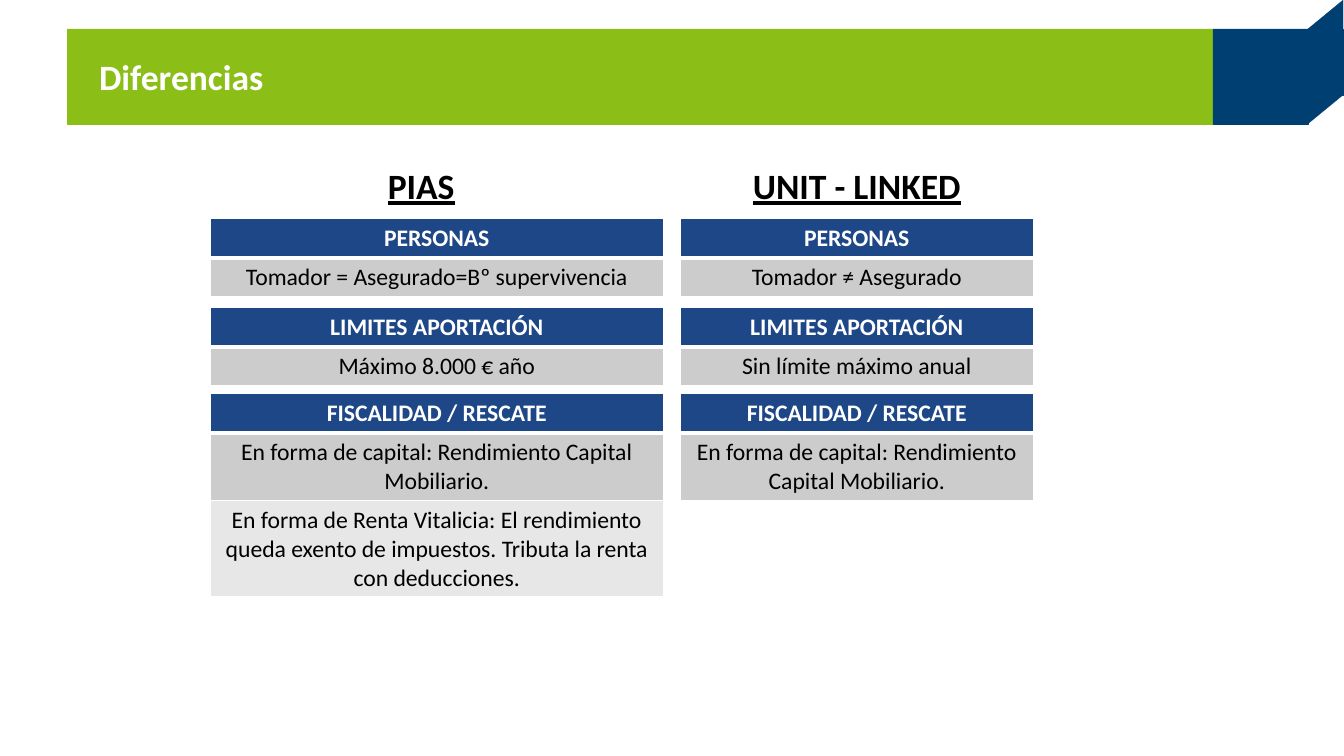
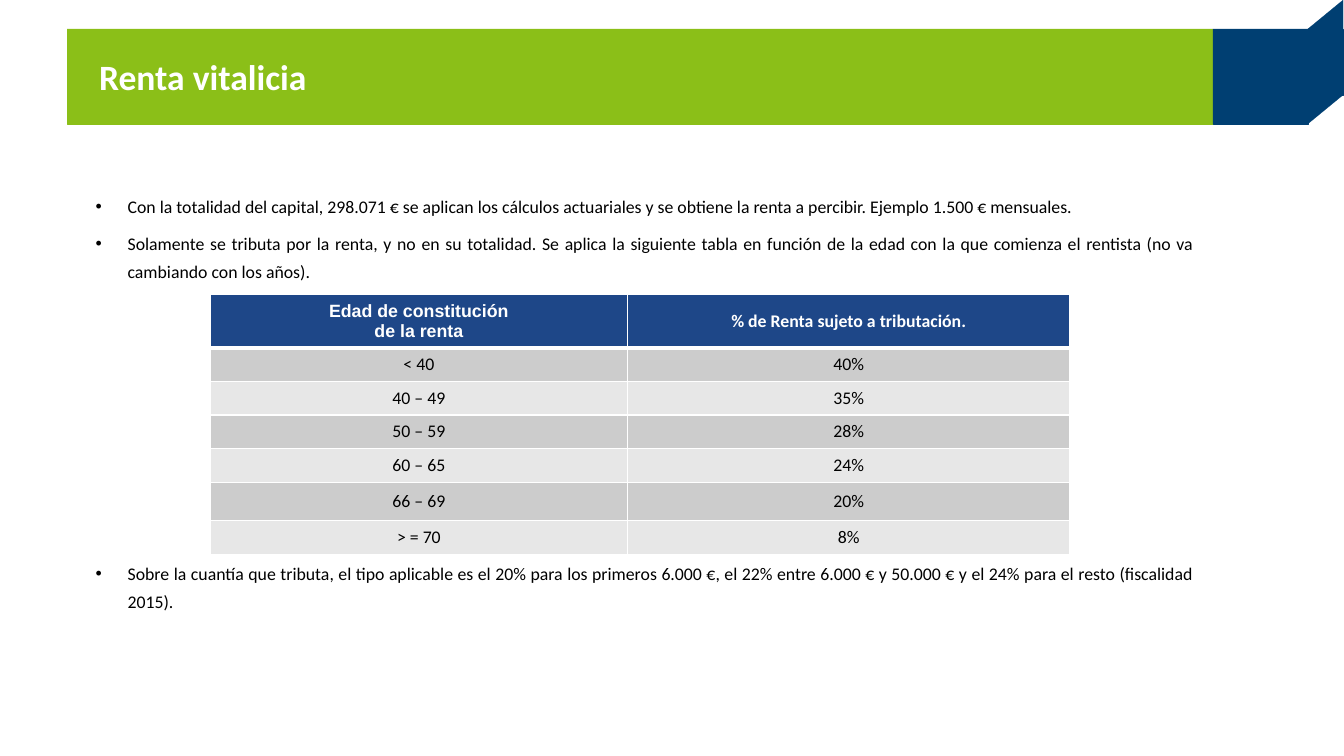
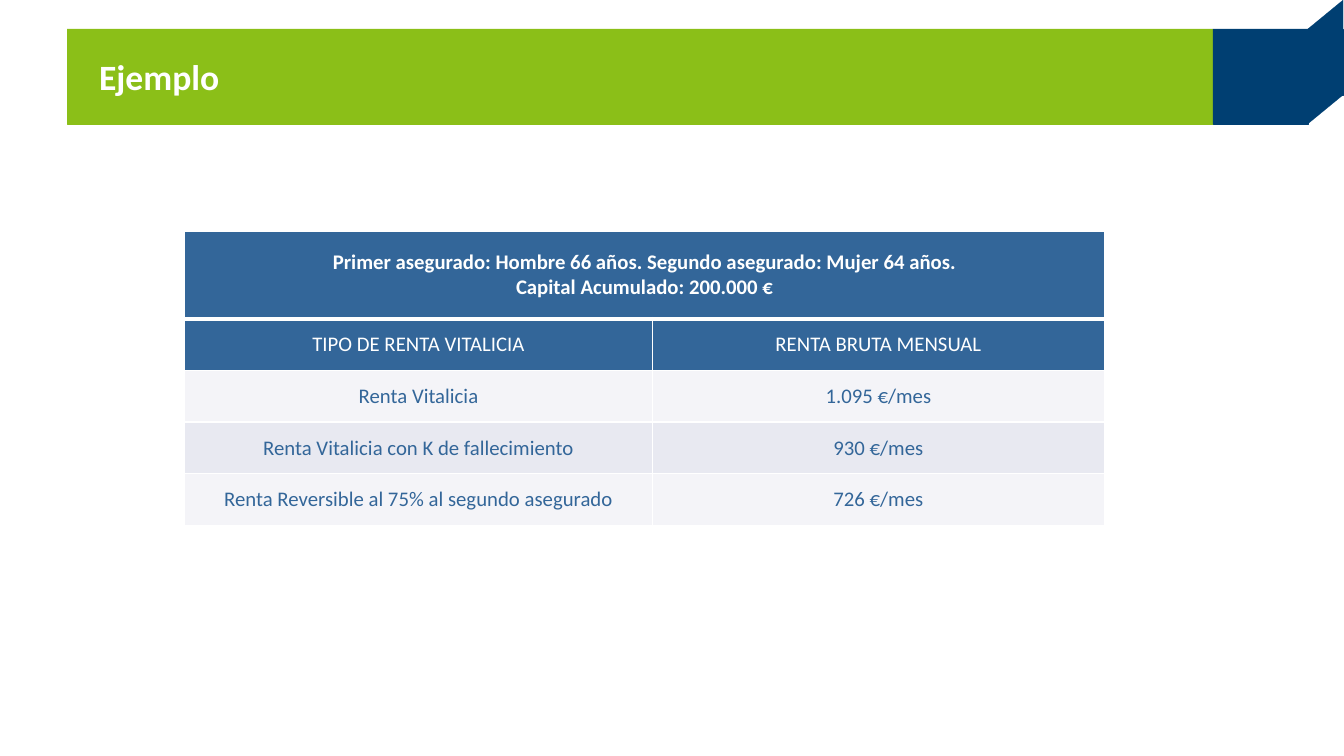
from dataclasses import dataclass

from lxml import etree
from pptx import Presentation
from pptx.dml.color import RGBColor
from pptx.enum.shapes import MSO_SHAPE
from pptx.enum.text import MSO_ANCHOR, PP_ALIGN
from pptx.oxml.ns import qn
from pptx.util import Cm, Pt

RECT, WEDGE = MSO_SHAPE.RECTANGLE, MSO_SHAPE.RIGHT_TRIANGLE
LEFT, MID, FULL = PP_ALIGN.LEFT, PP_ALIGN.CENTER, PP_ALIGN.JUSTIFY
CORE = MSO_ANCHOR.MIDDLE


@dataclass(frozen=True)
class Theme:
    green: str = "8BBF18"
    navy: str = "003F72"
    blue: str = "1E4788"
    steel: str = "336699"
    white: str = "FFFFFF"
    black: str = "000000"
    gray: str = "CCCCCC"
    pale: str = "E7E7E7"
    mist: str = "F4F4F8"
    haze: str = "E8E9F1"
    face: str = "Calibri"
    alt: str = "Arial"
    title: int = 24
    body: int = 16
    mid: int = 14
    small: int = 12


T = Theme()
# Row looks: fill, text colour, bold
HEAD = (T.blue, T.white, True)
DARK = (T.gray, T.black, False)
LIGHT = (T.pale, T.black, False)


def put(frame, text, size=T.body, ink=T.black, bold=False, line=False,
        face=T.face, align=MID, bullet=False):
    """Write text into a frame, one paragraph for each line."""
    frame.word_wrap = True
    for i, part in enumerate(text.split("\n")):
        para = frame.paragraphs[0] if i == 0 else frame.add_paragraph()
        para.alignment = align
        if bullet:
            mark(para)
            para.line_spacing = 1.3
            if i:
                para.space_before = Pt(6)
        run = para.add_run()
        run.text = part
        font = run.font
        font.name, font.size = face, Pt(size)
        font.bold, font.underline = bold, line
        font.color.rgb = RGBColor.from_string(ink)


def mark(para):
    """Give a paragraph a hanging round bullet."""
    props = para._p.get_or_add_pPr()
    props.set("marL", str(Cm(0.79)))
    props.set("indent", str(-Cm(0.76)))
    etree.SubElement(props, qn("a:buFont"), typeface=T.alt)
    etree.SubElement(props, qn("a:buChar"), char="•")


def block(slide, kind, x, y, w, h, fill, turn=0):
    shape = slide.shapes.add_shape(kind, Cm(x), Cm(y), Cm(w), Cm(h))
    shape.shadow.inherit = False
    shape.fill.solid()
    shape.fill.fore_color.rgb = RGBColor.from_string(fill)
    shape.line.color.rgb = RGBColor.from_string(fill)
    shape.line.width = Pt(0.1)
    shape.rotation = turn
    return shape


def label(slide, text, x, y, w, h, **style):
    box = slide.shapes.add_textbox(Cm(x), Cm(y), Cm(w), Cm(h))
    put(box.text_frame, text, **style)


def edge(cell, **widths):
    """Draw white cell borders, 1 pt unless a side is given a width."""
    props = cell._tc.get_or_add_tcPr()
    for i, side in enumerate("LRTB"):
        rule = etree.Element(qn("a:ln" + side), w=str(Pt(widths.get(side, 1))))
        fill = etree.SubElement(rule, qn("a:solidFill"))
        etree.SubElement(fill, qn("a:srgbClr"), val=T.white)
        props.insert(i, rule)


def grid(slide, x, y, cols, highs, rows, looks, size=T.body, faces=None):
    """Draw a table; a row with too few cells spans the whole width."""
    frame = slide.shapes.add_table(len(rows), len(cols), Cm(x), Cm(y),
                                   Cm(sum(cols)), Cm(sum(highs)))
    table = frame.table
    table.horz_banding = False
    for col, wide in zip(table.columns, cols):
        col.width = Cm(wide)
    for r, (row, high, look) in enumerate(zip(rows, highs, looks)):
        fill, ink, bold = look
        table.rows[r].height = Cm(high)
        if len(row) < len(cols):
            table.cell(r, 0).merge(table.cell(r, len(cols) - 1))
        for c in range(len(cols)):
            cell = table.cell(r, c)
            cell.fill.solid()
            cell.fill.fore_color.rgb = RGBColor.from_string(fill)
            cell.vertical_anchor = CORE
            edge(cell, T=3 if r == 1 else 1, B=3 if r == 0 else 1)
            if c < len(row):
                put(cell.text_frame, row[c], size=size, ink=ink, bold=bold,
                    face=(faces or {}).get((r, c), T.face))


def header(slide, title, x=1.6, y=0.69, w=27.28, h=2.26):
    """Draw the title band and its folded corner."""
    band = block(slide, RECT, x, y, w, h, T.green)
    frame = band.text_frame
    frame.margin_left, frame.vertical_anchor = Cm(0.76), CORE
    put(frame, title, size=T.title, ink=T.white, bold=True, align=LEFT)
    block(slide, RECT, x + w, y, h, h, T.navy)
    side, rise = 0.84, 0.69
    fold, gap = x + w + h, (side - rise) / 2
    block(slide, RECT, fold, y, side, h - rise, T.navy)
    for top, turn in ((y - rise, 270), (y + h - rise, 90)):
        block(slide, WEDGE, fold + gap, top - gap, rise, side, T.navy, turn)


def column(slide, x, y, w, name, shift, parts):
    """Stack a heading and its tables; each part lists (text, lines)."""
    label(slide, name, x + shift, y, w, 1.27, size=T.title, bold=True,
          line=True)
    for drop, (head, *notes) in zip((1.42, 3.54, 5.59), parts):
        rows = [(head,)] + [(text,) for text, _ in notes]
        highs = [0.93] + [0.93 + 0.68 * (n - 1) for _, n in notes]
        grid(slide, x, y + drop, [w], highs, rows, [HEAD, DARK, LIGHT])


def compare(slide):
    capital = ("En forma de capital: Rendimiento Capital Mobiliario.", 2)
    life = ("En forma de Renta Vitalicia: El rendimiento queda exento de "
            "impuestos. Tributa la renta con deducciones.", 3)
    who, cap, tax = "PERSONAS", "LIMITES APORTACIÓN", "FISCALIDAD / RESCATE"
    column(slide, 5, 3.78, 10.8, "PIAS", -0.37, [
        (who, ("Tomador = Asegurado=Bº supervivencia", 1)),
        (cap, ("Máximo 8.000 € año", 1)),
        (tax, capital, life)])
    column(slide, 16.2, 3.78, 8.4, "UNIT - LINKED", 0, [
        (who, ("Tomador ≠ Asegurado", 1)),
        (cap, ("Sin límite máximo anual", 1)),
        (tax, capital)])


def rates(slide, x=2, y=4.39, w=26.7):
    style = dict(size=T.small, align=FULL, bullet=True)
    label(slide, "Con la totalidad del capital, 298.071 € se aplican los "
          "cálculos actuariales y se obtiene la renta a percibir. Ejemplo "
          "1.500 € mensuales.\n"
          "Solamente se tributa por la renta, y no en su totalidad. Se aplica "
          "la siguiente tabla en función de la edad con la que comienza el "
          "rentista (no va cambiando con los años).",
          x, y, w, 2.5, **style)
    rows = [("Edad de constitución\nde la renta",
             "% de Renta sujeto a tributación."),
            ("< 40", "40%"), ("40 – 49", "35%"), ("50 – 59", "28%"),
            ("60 – 65", "24%"), ("66 – 69", "20%"), ("> = 70", "8%")]
    grid(slide, x + 3, y + 2.62, [9.95, 10.52],
         [1.2] + [0.8] * 4 + [0.92, 0.8], rows, [HEAD] + [DARK, LIGHT] * 3,
         size=T.small, faces={(0, 0): T.alt})
    label(slide, "Sobre la cuantía que tributa, el tipo aplicable es el 20% "
          "para los primeros 6.000 €, el 22% entre 6.000 € y 50.000 € y el "
          "24% para el resto (fiscalidad 2015).",
          x, y + 8.74, w, 1.6, **style)


def sample(slide, x=4.4, y=5.51):
    rows = [("Primer asegurado: Hombre 66 años. Segundo asegurado: Mujer 64 "
             "años.\nCapital Acumulado: 200.000 €",),
            ("TIPO DE RENTA VITALICIA", "RENTA BRUTA MENSUAL"),
            ("Renta Vitalicia", "1.095 €/mes"),
            ("Renta Vitalicia con K de fallecimiento", "930 €/mes"),
            ("Renta Reversible al 75% al segundo asegurado", "726 €/mes")]
    odd, even = (T.mist, T.steel, False), (T.haze, T.steel, False)
    looks = [(T.steel, T.white, True), (T.steel, T.white, False),
             odd, even, odd]
    grid(slide, x, y, [11.13, 10.77], [2.08] + [1.23] * 4, rows, looks,
         size=T.mid)


def main():
    deck = Presentation()
    deck.slide_width, deck.slide_height = Cm(32), Cm(18)
    pages = (("Diferencias", compare), ("Renta vitalicia", rates),
             ("Ejemplo", sample))
    for title, fill in pages:
        slide = deck.slides.add_slide(deck.slide_layouts[6])
        header(slide, title)
        fill(slide)
    deck.save("out.pptx")


if __name__ == "__main__":
    main()
